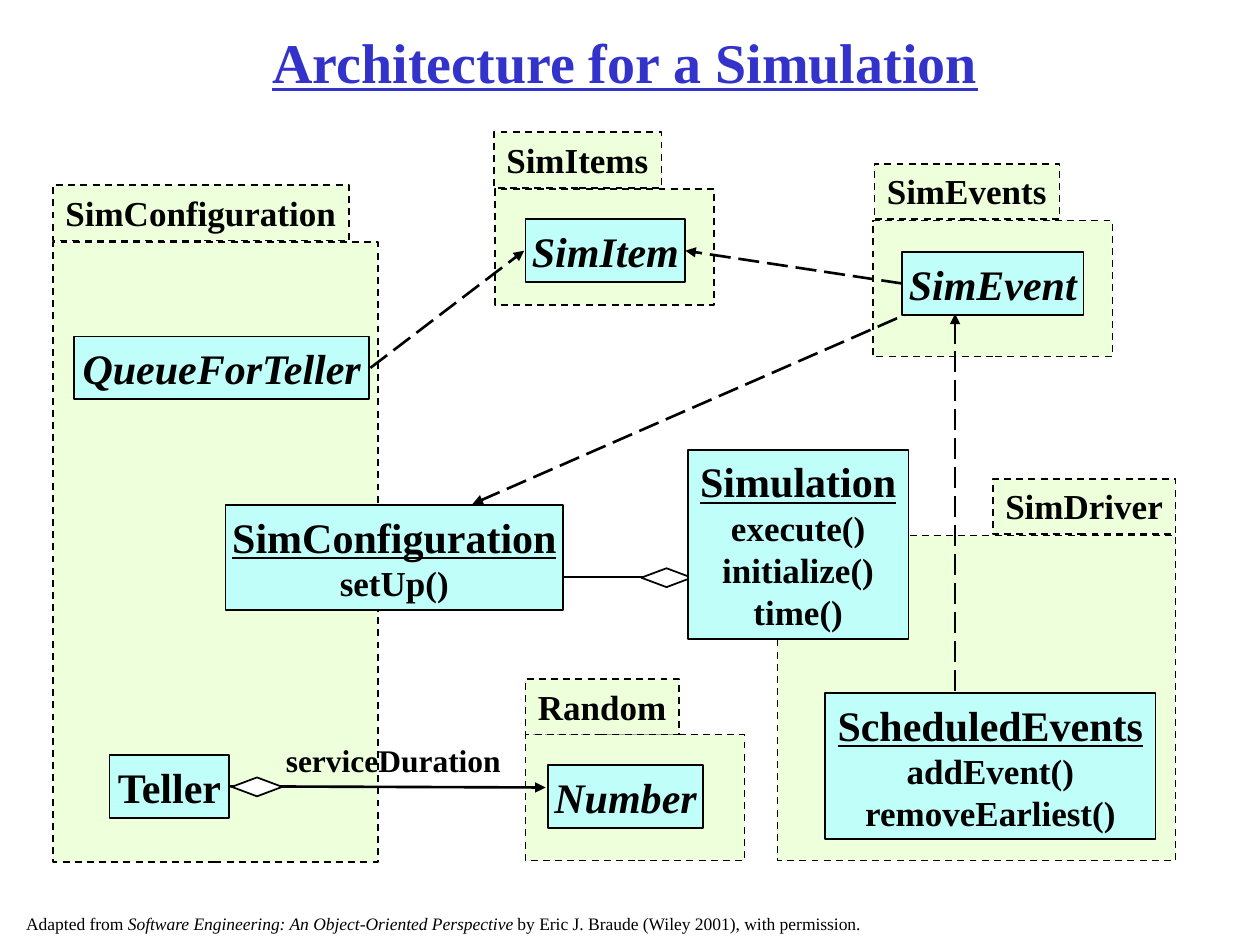
from lxml import etree
from pptx import Presentation
from pptx.dml.color import RGBColor
from pptx.enum.dml import MSO_LINE
from pptx.enum.shapes import MSO_CONNECTOR, MSO_SHAPE
from pptx.enum.text import MSO_ANCHOR, MSO_AUTO_SIZE, PP_ALIGN
from pptx.oxml.ns import qn
from pptx.util import Inches, Pt

RECT, DIAMOND = MSO_SHAPE.RECTANGLE, MSO_SHAPE.DIAMOND
STRAIGHT = MSO_CONNECTOR.STRAIGHT
DASH, LONG_DASH = MSO_LINE.DASH, MSO_LINE.LONG_DASH
LEFT, CENTER = PP_ALIGN.LEFT, PP_ALIGN.CENTER
TOP, MIDDLE = MSO_ANCHOR.TOP, MSO_ANCHOR.MIDDLE
NO_FIT = MSO_AUTO_SIZE.NONE

FONT = "Times New Roman"
COLORS = {"package": "EDFFDB", "class": "C0FEF9", "white": "FFFFFF",
          "black": "000000", "title": "3333CC"}
TAB_HEIGHT = 0.44

PACKAGES = [
    ("SimConfiguration", (0.42, 1.92, 2.58, 4.92), (0.42, 1.47, 2.35)),
    ("SimDriver", (6.17, 4.25, 3.16, 2.58), (7.88, 3.8, 1.45)),
    ("SimItems", (3.93, 1.5, 1.74, 0.92), (3.92, 1.05, 1.33)),
    ("Random", (4.17, 5.83, 1.74, 1), (4.17, 5.39, 1.22)),
    ("SimEvents", (6.93, 1.75, 1.9, 1.08), (6.94, 1.3, 1.47)),
]
ABSTRACT_CLASSES = [
    ("SimItem", (4.17, 1.74, 1.27, 0.5)),
    ("SimEvent", (7.16, 2, 1.44, 0.5)),
    ("Number", (4.35, 6.07, 1.23, 0.5)),
    ("QueueForTeller", (0.59, 2.67, 2.34, 0.5)),
]
CONCRETE_CLASSES = [
    ("Simulation", ["execute()", "initialize()", "time()"], (5.46, 3.57, 1.75, 1.5), TOP),
    ("ScheduledEvents", ["addEvent()", "removeEarliest()"], (6.55, 5.5, 2.62, 1.16), TOP),
    ("SimConfiguration", ["setUp()"], (1.79, 4.01, 2.68, 0.83), MIDDLE),
]
DEPENDENCIES = [
    ((7.58, 6.17), (7.58, 2.49)),
    ((7.75, 2.25), (3.75, 4)),
    ((2.94, 2.92), (4.16, 1.99)),
    ((7.16, 2.25), (5.44, 1.99)),
]


def color(name):
    return RGBColor.from_string(COLORS[name])


def add_run(p, text, size=20, bold=True, italic=False, underline=False, ink="black"):
    r = p.add_run()
    r.text = text
    r.font.name = FONT
    r.font.size = Pt(size)
    r.font.bold = bold
    r.font.italic = italic
    r.font.underline = underline
    r.font.color.rgb = color(ink)


def set_frame(sp, anchor=TOP, inset=(0.1, 0.05), wrap=False):
    tf = sp.text_frame
    tf.auto_size = NO_FIT
    tf.word_wrap = wrap
    tf.vertical_anchor = anchor
    tf.margin_left = tf.margin_right = Inches(inset[0])
    tf.margin_top = tf.margin_bottom = Inches(inset[1])
    return tf


def add_box(slide, box, fill, kind=RECT, dash=None):
    sp = slide.shapes.add_shape(kind, *map(Inches, box))
    sp.shadow.inherit = False
    sp.fill.solid()
    sp.fill.fore_color.rgb = color(fill)
    sp.line.color.rgb = color("black")
    sp.line.width = Pt(1)
    if dash:
        sp.line.dash_style = dash
    return sp


def add_class(slide, name, box, methods=(), anchor=MIDDLE, **fmt):
    sp = add_box(slide, box, "class")
    tf = set_frame(sp, anchor, (0.1 if anchor == TOP else 0.05, 0.05))
    p = tf.paragraphs[0]
    p.alignment = CENTER
    add_run(p, name, size=24, **fmt)
    for method in methods:
        p = tf.add_paragraph()
        p.alignment = CENTER
        add_run(p, method)


def add_tab(slide, name, left, top, width):
    sp = add_box(slide, (left, top, width, TAB_HEIGHT), "package", dash=DASH)
    p = set_frame(sp).paragraphs[0]
    p.alignment = LEFT
    add_run(p, name)


def add_line(slide, start, end, dash=None, arrow=True):
    line = slide.shapes.add_connector(STRAIGHT, *map(Inches, start + end))
    line.line.color.rgb = color("black")
    line.line.width = Pt(1.5)
    if dash:
        line.line.dash_style = dash
    if arrow:
        etree.SubElement(line.line._get_or_add_ln(), qn("a:tailEnd"), type="triangle")
    etree.SubElement(line._element.spPr, qn("a:effectLst"))


def add_title(slide, text):
    sp = slide.shapes.title
    sp.left, sp.top, sp.width, sp.height = map(Inches, (0, 0.17, 9.92, 0.67))
    p = set_frame(sp, wrap=True).paragraphs[0]
    p.alignment = CENTER
    add_run(p, text, size=32, underline=True, ink="title")


def add_text(slide, box, parts, inset=(0.1, 0.05), wrap=False, **fmt):
    sp = slide.shapes.add_textbox(*map(Inches, box))
    p = set_frame(sp, inset=inset, wrap=wrap).paragraphs[0]
    p.alignment = LEFT
    for text, italic in parts:
        add_run(p, text, italic=italic, **fmt)


def main():
    prs = Presentation()
    prs.slide_width, prs.slide_height = Inches(10), Inches(7.5)
    slide = prs.slides.add_slide(prs.slide_layouts[5])
    add_title(slide, "Architecture for a Simulation")

    for name, body, tab in PACKAGES:
        add_box(slide, body, "package", dash=DASH)
    for name, body, tab in PACKAGES:
        add_tab(slide, name, *tab)
    for start, end in DEPENDENCIES:
        add_line(slide, start, end, dash=LONG_DASH)
    add_line(slide, (4.17, 4.58), (6.16, 4.58), arrow=False)
    add_line(slide, (1.59, 6.24), (4.33, 6.25))
    for left, top in [(5.09, 4.51), (1.84, 6.17)]:
        add_box(slide, (left, top, 0.4, 0.15), "white", kind=DIAMOND)

    for name, box in ABSTRACT_CLASSES:
        add_class(slide, name, box, italic=True)
    for name, methods, box, anchor in CONCRETE_CLASSES:
        add_class(slide, name, box, methods, anchor, underline=True)
    add_class(slide, "Teller", (0.87, 5.99, 0.95, 0.5))

    add_text(slide, (2.17, 5.83, 2, 0.4), [("serviceDuration", False)], wrap=True, size=18)
    add_text(slide, (0.11, 7.25, 6.83, 0.17), [
        ("Adapted from ", False),
        ("Software Engineering: An Object-Oriented Perspective ", True),
        ("by Eric J. Braude (Wiley 2001), with permission.", False),
    ], inset=(0.1, 0), size=10, bold=False)

    prs.save("out.pptx")


if __name__ == "__main__":
    main()
